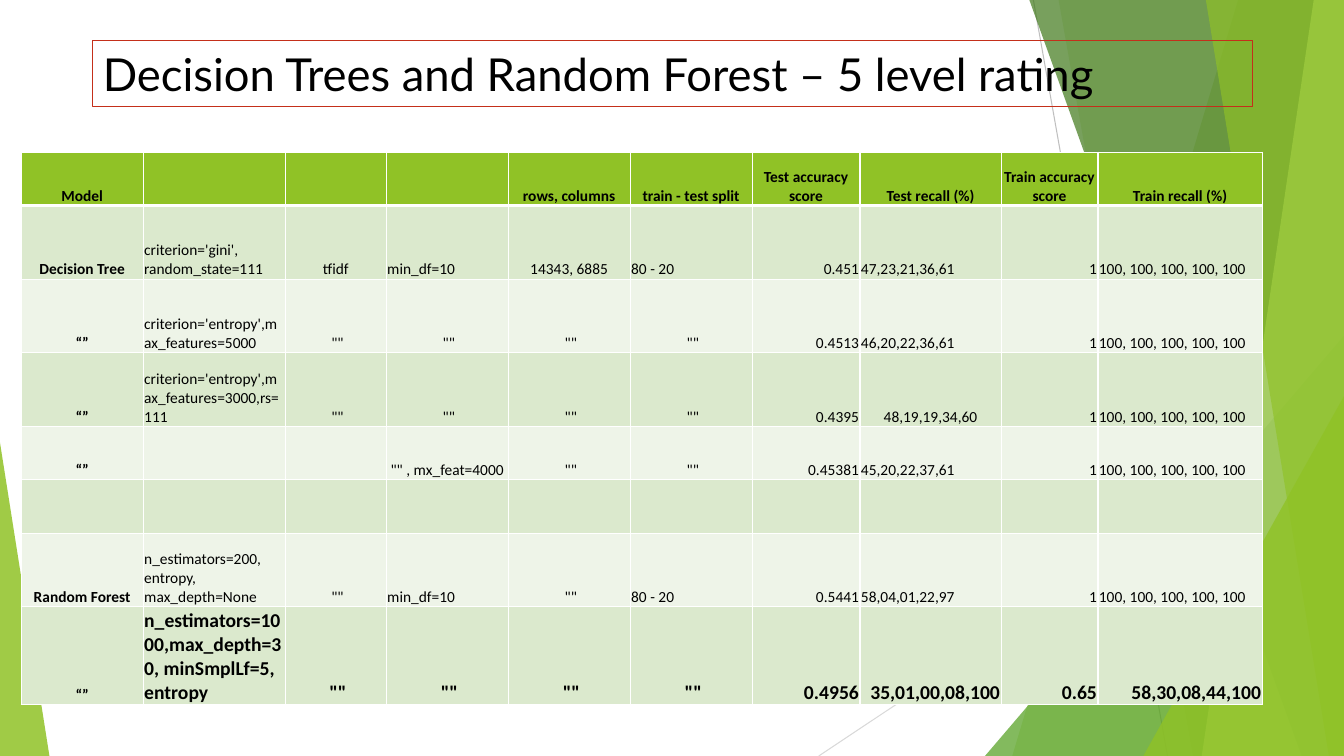
from lxml import etree
from pptx import Presentation
from pptx.dml.color import RGBColor
from pptx.enum.shapes import MSO_CONNECTOR, MSO_SHAPE
from pptx.enum.text import MSO_ANCHOR, MSO_AUTO_SIZE, PP_ALIGN
from pptx.oxml.ns import qn
from pptx.util import Inches, Pt

TITLE = "Decision Trees and Random Forest – 5 level rating"
SAME = "“”"
DITTO = ' ""'
FULL = "100, 100, 100, 100, 100"
ROWS = [
    ("cccccccccc", ["Model", "", "", "", "rows, columns", "train - test split",
                    "Test accuracy score", "Test recall (%)",
                    "Train accuracy score", "Train recall (%)"]),
    ("clclclrlrl", ["Decision Tree", "criterion='gini', random_state=111", "tfidf",
                    "min_df=10", "14343, 6885", "80 - 20", "0.451",
                    "47,23,21,36,61", "1", FULL]),
    ("clccccrlrl", [SAME, "criterion='entropy',max_features=5000", DITTO, DITTO,
                    DITTO, DITTO, "0.4513", "46,20,22,36,61", "1", FULL]),
    ("clccccrcrl", [SAME, "criterion='entropy',max_features=3000,rs=111", DITTO, DITTO,
                    DITTO, DITTO, "0.4395", "48,19,19,34,60", "1", FULL]),
    ("clccccrlrl", [SAME, "", "", '"" , mx_feat=4000', DITTO, DITTO, "0.45381",
                    "45,20,22,37,61", "1", FULL]),
    ("cccccccccc", [""] * 10),
    ("clclclrlrl", ["Random Forest", "n_estimators=200, entropy, max_depth=None", DITTO,
                    "min_df=10", DITTO, "80 - 20", "0.5441",
                    "58,04,01,22,97", "1", FULL]),
    ("clccccrrrr", [SAME, "n_estimators=1000,max_depth=30, minSmplLf=5, entropy", DITTO,
                    DITTO, DITTO, DITTO, "0.4956", "35,01,00,08,100", "0.65",
                    "58,30,08,44,100"]),
]
COL_WIDTHS = [1.21, 1.41, 1, 1.21, 1.21, 1.21, 1.07, 1.4, 0.96, 1.63]
ROW_HEIGHTS = [0.53, 0.73, 0.73, 0.73, 0.53, 0.53, 0.73, 0.97]
ALIGN = {"l": PP_ALIGN.LEFT, "c": PP_ALIGN.CENTER, "r": PP_ALIGN.RIGHT}

COLORS = {
    "lime": "90C226", "green": "54A021", "forest": "3F7819", "pale": "C0E474",
    "odd": "DBE9CD", "even": "EEF4E8", "red": "C42F1A", "black": "000000",
    "white": "FFFFFF", "gray": "BFBFBF", "silver": "D9D9D9",
}
RAYS = [((76.89, 0, 86.87, 100), "gray"), ((100, 53.73, 60.92, 100), "silver")]
BAND, APEX_RIGHT, APEX_LEFT = "band", 1, 0
FACETS = [
    (BAND, (92.12, 75.32), "lime", 30),
    (BAND, (78.77, 88.75), "lime", 20),
    (APEX_RIGHT, (73.29, 44.4, 26.71, 55.6), "green", 72),
    (BAND, (76.59, 96.85), "forest", 70),
    (BAND, (97.75, 89.42), "pale", 70),
    (BAND, (89.72, 98.87), "lime", 65),
    (APEX_RIGHT, (85.07, 52.4, 14.93, 47.6), "lime", 80),
    (APEX_LEFT, (0, 58.53, 3.68, 41.47), "lime", 85),
]
TITLE_BOX = (6.9, 5.33, 86.27, 8.8)
TABLE_CORNER = (1.58, 20.13)

prs = Presentation()
prs.slide_width, prs.slide_height = Inches(13.33), Inches(7.5)


def rgb(name):
    return RGBColor.from_string(COLORS[name])


def place(*shares):
    sizes = (prs.slide_width, prs.slide_height) * 2
    return [round(size * share / 100) for size, share in zip(sizes, shares)]


def add_ray(slide, ends, color):
    line = slide.shapes.add_connector(MSO_CONNECTOR.STRAIGHT, *place(*ends))
    line.line.color.rgb = rgb(color)
    line.line.width = Pt(0.75)
    etree.SubElement(line._element.spPr, qn("a:effectLst"))


def add_facet(slide, kind, shares, color, opacity):
    if kind == BAND:
        top, bottom = shares
        corners = [place(*c) for c in ((top, 0), (100, 0), (100, 100), (bottom, 100))]
        builder = slide.shapes.build_freeform(*corners[0])
        builder.add_line_segments(corners[1:], close=True)
        sp = builder.convert_to_shape()
    else:
        sp = slide.shapes.add_shape(MSO_SHAPE.ISOSCELES_TRIANGLE, *place(*shares))
        sp.adjustments[0] = kind
    sp.shadow.inherit = False
    sp.fill.solid()
    sp.fill.fore_color.rgb = rgb(color)
    sp.line.fill.background()
    clr = sp._element.spPr.find(qn("a:solidFill"))[0]
    etree.SubElement(clr, qn("a:alpha"), val=str(opacity * 1000))


def format_title(slide):
    sp = slide.shapes.title
    sp.left, sp.top, sp.width, sp.height = place(*TITLE_BOX)
    sp.line.color.rgb = rgb("red")
    sp.line.width = Pt(0.75)
    tf = sp.text_frame
    tf.text = TITLE
    tf.word_wrap = True
    tf.auto_size = MSO_AUTO_SIZE.NONE
    tf.vertical_anchor = MSO_ANCHOR.MIDDLE
    p = tf.paragraphs[0]
    p.alignment = PP_ALIGN.LEFT
    font = p.runs[0].font
    font.name, font.size, font.color.rgb = "Lato", Pt(32.4), rgb("black")
    slide.shapes._spTree.append(sp._element)


def add_borders(cell, header, below_header):
    tcPr = cell._tc.get_or_add_tcPr()
    thick = {"lnB": header, "lnT": below_header}
    for side in ("lnL", "lnR", "lnT", "lnB"):
        width = Pt(3 if thick.get(side) else 1)
        ln = etree.SubElement(tcPr, qn(f"a:{side}"), w=str(width))
        fill = etree.SubElement(ln, qn("a:solidFill"))
        etree.SubElement(fill, qn("a:srgbClr"), val=COLORS["white"])


def format_cell(cell, text, align, row, col):
    add_borders(cell, row == 0, row == 1)
    cell.fill.solid()
    cell.fill.fore_color.rgb = rgb("lime" if row == 0 else "odd" if row % 2 else "even")
    cell.margin_left = cell.margin_right = cell.margin_top = Inches(0.01)
    cell.margin_bottom = 0
    cell.vertical_anchor = MSO_ANCHOR.BOTTOM
    last = row == len(ROWS) - 1
    cell.text_frame.text = text
    p = cell.text_frame.paragraphs[0]
    p.alignment = ALIGN[align]
    for r in p.runs:
        r.font.name = "Calibri"
        r.font.size = Pt(14 if last and col else 11)
        r.font.bold = row == 0 or col == 0 or last
        r.font.color.rgb = rgb("black")


def add_results(slide):
    table = slide.shapes.add_table(
        len(ROWS), len(COL_WIDTHS), *place(*TABLE_CORNER),
        Inches(sum(COL_WIDTHS)), Inches(sum(ROW_HEIGHTS))).table
    for column, width in zip(table.columns, COL_WIDTHS):
        column.width = Inches(width)
    for row, height in zip(table.rows, ROW_HEIGHTS):
        row.height = Inches(height)
    for i, (aligns, texts) in enumerate(ROWS):
        for j, (align, text) in enumerate(zip(aligns, texts)):
            format_cell(table.cell(i, j), text, align, i, j)


def main():
    slide = prs.slides.add_slide(prs.slide_layouts[5])
    for ray in RAYS:
        add_ray(slide, *ray)
    for facet in FACETS:
        add_facet(slide, *facet)
    format_title(slide)
    add_results(slide)
    prs.save("out.pptx")


if __name__ == "__main__":
    main()
